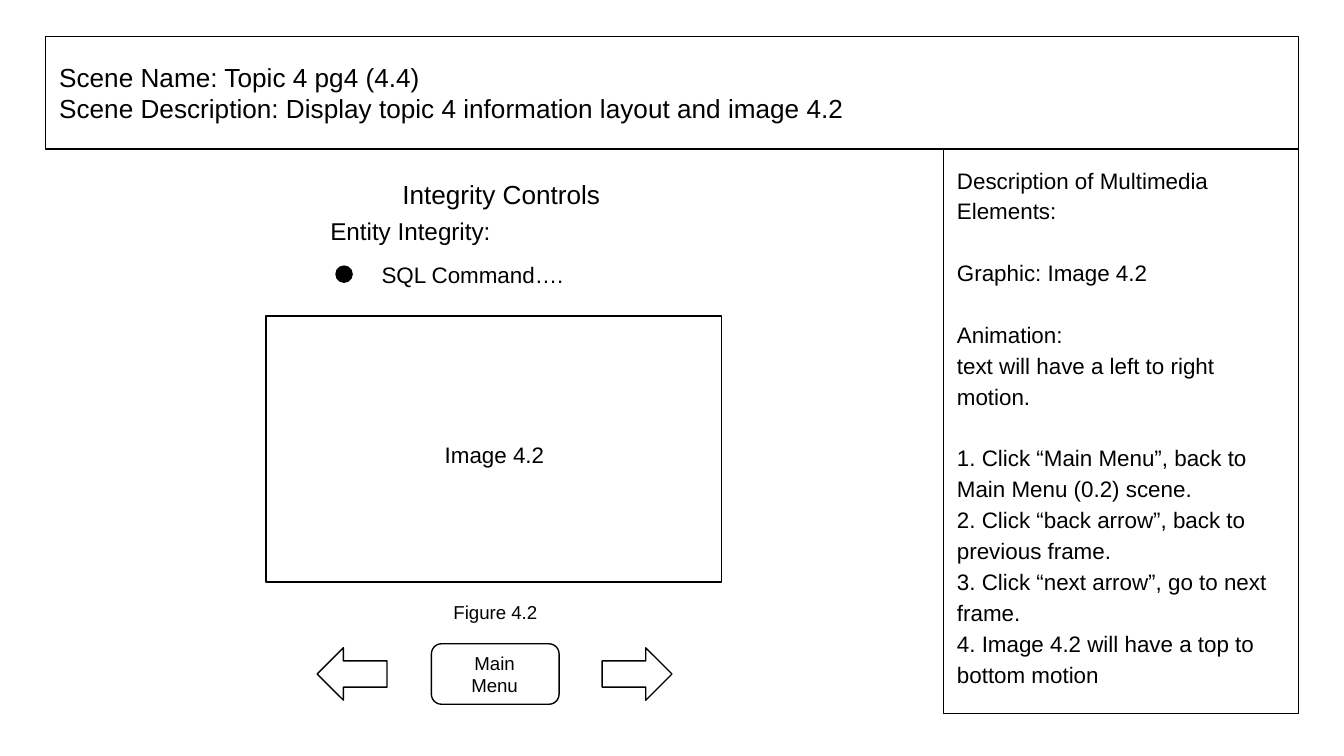
"""Build the storyboard slide for scene 4.4, Integrity Controls."""
from pptx import Presentation, util as u
from pptx.dml.color import RGBColor
from pptx.enum import shapes, text
from pptx.oxml.xmlchemy import OxmlElement

BLACK = RGBColor(0, 0, 0)
LEFT, CENTER = text.PP_ALIGN.LEFT, text.PP_ALIGN.CENTER
TOP, MIDDLE = text.MSO_ANCHOR.TOP, text.MSO_ANCHOR.MIDDLE
SHAPE = shapes.MSO_SHAPE
SLIDE_WIDTH = 10
SLIDE_HEIGHT = SLIDE_WIDTH * 9 / 16
BLANK_LINE = 16.5

SCENE_BOX = (0.34, 0.27, 9.32, 0.84)
SCENE = [
    "Scene Name: Topic 4 pg4 (4.4)",
    "Scene Description: Display topic 4 information layout and image 4.2",
]
NOTES_BOX = (7.02, 1.11, 2.64, 4.2)
NOTE_GROUPS = [
    ["Description of Multimedia Elements:"],
    ["Graphic: Image 4.2"],
    ["Animation:", "text will have a left to right motion."],
    [
        "1. Click “Main Menu”, back to Main Menu (0.2) scene.",
        "2. Click “back arrow”, back to previous frame.",
        "3. Click “next arrow”, go to next frame.",
        "4. Image 4.2 will have a top to bottom motion",
    ],
]
OUTLINES = [
    (SHAPE.OVAL, (2.5, 1.98, 0.12, 0.12), 0, True),
    (SHAPE.RIGHT_ARROW, (4.48, 4.82, 0.52, 0.39), 0, False),
    (SHAPE.RIGHT_ARROW, (2.36, 4.82, 0.52, 0.39), 180, False),
    (SHAPE.ROUNDED_RECTANGLE, (3.21, 4.79, 0.95, 0.45), 0, False),
    (SHAPE.RECTANGLE, (1.98, 2.35, 3.39, 1.98), 0, False),
]
LABELS = [
    ("Integrity Controls", (2.62, 1.22, 2.22, 0.45), 14, CENTER, MIDDLE),
    ("Entity Integrity:", (2.36, 1.51, 1.7, 0.39), 13, LEFT, TOP),
    ("SQL Command….", (2.74, 1.87, 3.51, 0.35), 12, LEFT, MIDDLE),
    ("Image 4.2", (3.1, 3.21, 1.16, 0.35), 12, CENTER, MIDDLE),
    ("Figure 4.2", (3.21, 4.42, 0.95, 0.27), 10, CENTER, MIDDLE),
    ("Main Menu", (3.3, 4.88, 0.76, 0.27), 10, CENTER, MIDDLE),
]


def inches(box):
    return [u.Inches(length) for length in box]


def outline(part):
    part.line.color.rgb = BLACK
    part.line.width = u.Pt(0.75)


def write(part, lines, size, align=LEFT, anchor=MIDDLE, spacing=1.0):
    frame = part.text_frame
    frame.text = "\n".join(lines)
    frame.word_wrap = True
    frame.auto_size = text.MSO_AUTO_SIZE.NONE
    frame.vertical_anchor = anchor
    frame.margin_left = frame.margin_right = u.Inches(0.1)
    frame.margin_top = frame.margin_bottom = u.Inches(0.1)
    for paragraph in frame.paragraphs:
        paragraph.alignment = align
        paragraph.line_spacing = spacing
        paragraph.space_before = u.Pt(0)
        paragraph.font.name = "Arial"
        paragraph.font.size = u.Pt(size)
        paragraph.font.color.rgb = BLACK


def fill_placeholder(part, box, lines, size, **layout):
    part.left, part.top, part.width, part.height = inches(box)
    outline(part)
    write(part, lines, size, **layout)


def remove_bullets(part):
    for paragraph in part.text_frame.paragraphs:
        properties = paragraph._p.get_or_add_pPr()
        properties.set("marL", "0")
        properties.set("indent", "0")
        properties.insert_element_before(
            OxmlElement("a:buNone"), "a:tabLst", "a:defRPr", "a:extLst"
        )


def main():
    deck = Presentation()
    deck.slide_width, deck.slide_height = inches((SLIDE_WIDTH, SLIDE_HEIGHT))
    slide = deck.slides.add_slide(deck.slide_layouts[1])

    fill_placeholder(slide.shapes.title, SCENE_BOX, SCENE, 14)
    notes = slide.placeholders[1]
    note_lines = [line for group in NOTE_GROUPS for line in group]
    fill_placeholder(notes, NOTES_BOX, note_lines, 12, anchor=TOP, spacing=1.15)
    remove_bullets(notes)
    first = 0
    for group in NOTE_GROUPS[:-1]:
        first += len(group)
        notes.text_frame.paragraphs[first].space_before = u.Pt(BLANK_LINE)

    for kind, box, rotation, filled in OUTLINES:
        figure = slide.shapes.add_shape(kind, *inches(box))
        figure.shadow.inherit = False
        figure.rotation = rotation
        outline(figure)
        if filled:
            figure.fill.solid()
            figure.fill.fore_color.rgb = BLACK
        else:
            figure.fill.background()

    for words, box, size, align, anchor in LABELS:
        label = slide.shapes.add_textbox(*inches(box))
        write(label, [words], size, align, anchor)

    deck.save("out.pptx")


if __name__ == "__main__":
    main()
